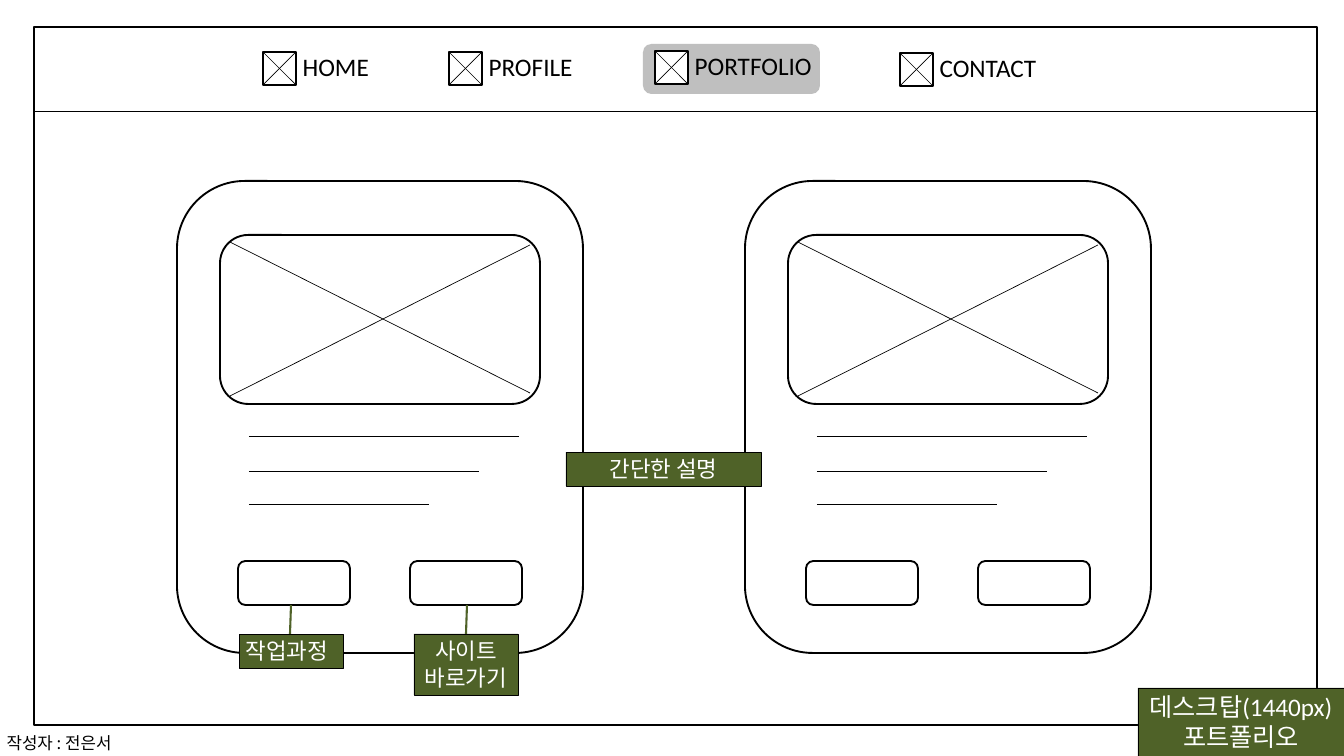
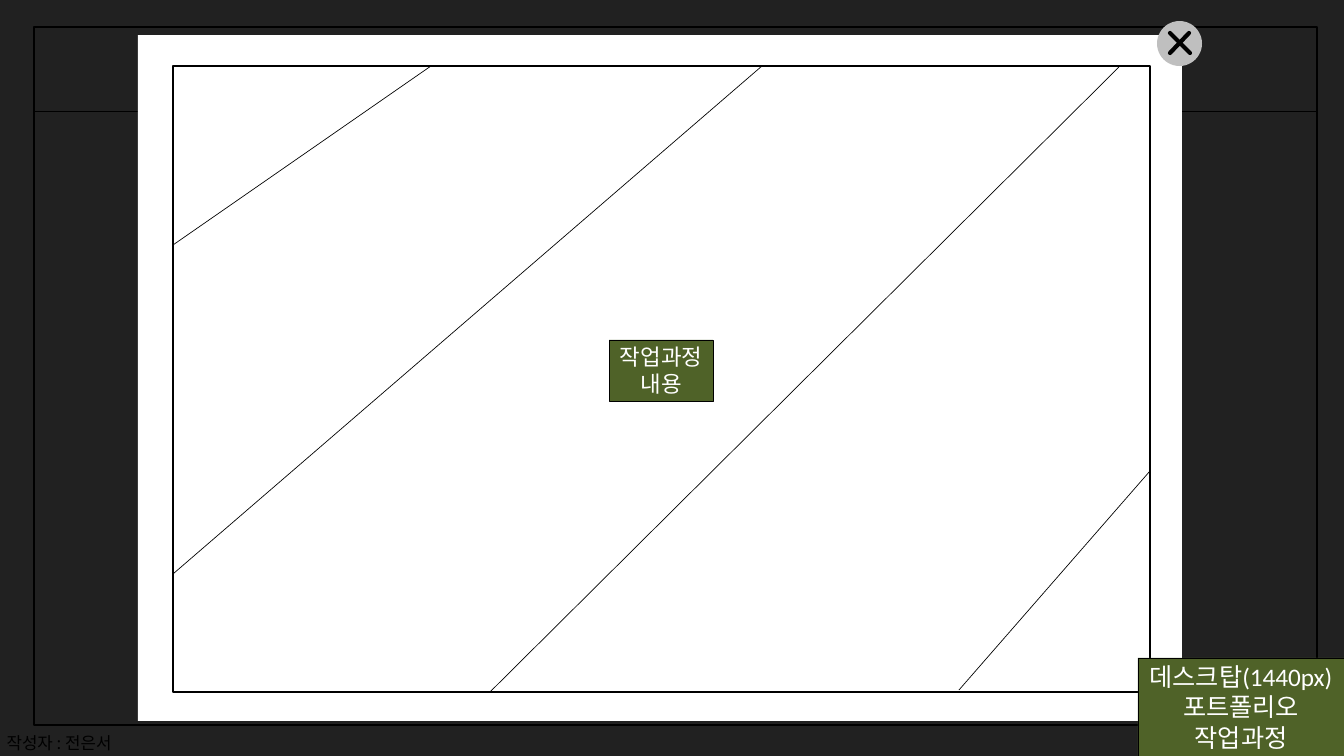
from lxml.etree import SubElement
from pptx import Presentation
from pptx.dml.color import RGBColor
from pptx.enum.shapes import MSO_CONNECTOR, MSO_SHAPE
from pptx.enum.text import MSO_ANCHOR, MSO_AUTO_SIZE, PP_ALIGN
from pptx.oxml.ns import qn
from pptx.util import Emu, Pt

BLACK = RGBColor(0, 0, 0)
WHITE = RGBColor(255, 255, 255)
GREEN = RGBColor(0x4F, 0x62, 0x28)
GRAY = RGBColor(0xBF, 0xBF, 0xBF)

LATIN = "Calibri"
KOREAN = "Noto Sans CJK KR"
WIDE, HIGH = 1344, 756
FRAME = (34, 27, 1283, 698)
THIN, BOLD = 0.75, 2
RECT, ROUND, OVAL = (
    MSO_SHAPE.RECTANGLE, MSO_SHAPE.ROUNDED_RECTANGLE, MSO_SHAPE.OVAL)


def px(n):
    return Emu(round(n * 914400 / 67.2))


# Basic parts

def draw_box(parts, kind, box, fill=None, line=None):
    shape = parts.add_shape(kind, *map(px, box))
    shape.shadow.inherit = False
    if fill is None:
        shape.fill.background()
    else:
        shape.fill.solid()
        shape.fill.fore_color.rgb = fill
    if line is None:
        shape.line.fill.background()
    else:
        shape.line.color.rgb = BLACK
        shape.line.width = Pt(line)
    return shape


def draw_line(parts, x1, y1, x2, y2, color=BLACK, width=THIN):
    line = parts.add_connector(
        MSO_CONNECTOR.STRAIGHT, *map(px, (x1, y1, x2, y2)))
    line.line.color.rgb = color
    line.line.width = Pt(width)
    SubElement(line._element.spPr, qn("a:effectLst"))
    return line


def set_text(shape, rows, size, color, font=LATIN, align=PP_ALIGN.LEFT,
             wrap=False):
    frame = shape.text_frame
    frame.word_wrap = wrap
    frame.auto_size = MSO_AUTO_SIZE.SHAPE_TO_FIT_TEXT
    frame.vertical_anchor = MSO_ANCHOR.TOP
    frame.text = "\n".join(rows)
    for para in frame.paragraphs:
        para.alignment = align
        para.font.size = Pt(size)
        para.font.name = font
        para.font.color.rgb = color


def add_text(parts, box, text, size, font=LATIN):
    set_text(parts.add_textbox(*map(px, box)), [text], size, BLACK, font)


def add_tag(parts, x, y, rows, width=104, align=PP_ALIGN.CENTER, wrap=False):
    box = (x, y, width, 7 + 27 * len(rows))
    tag = draw_box(parts, RECT, box, GREEN, THIN)
    set_text(tag, rows, 24, WHITE, align=align, wrap=wrap)


# Parts on both slides

def add_page(parts):
    x, y, w, h = FRAME
    draw_box(parts, RECT, FRAME, line=BOLD)
    draw_line(parts, x, y + 84, x + w, y + 84)
    add_text(parts, (0, 729, 128, 27), "작성자 : 전은서", 18, KOREAN)


def add_badge(parts, rows):
    w, h = 206, 8 + 30 * len(rows)
    badge = draw_box(parts, RECT, (WIDE - w, HIGH - h, w, h), GREEN, THIN)
    set_text(badge, rows, 27, WHITE, align=PP_ALIGN.CENTER)


# Portfolio page

def add_link(parts, x, y, name, width, active=False):
    link = parts.add_group_shape().shapes
    side = 33
    if active:
        draw_box(link, ROUND, (x - 12, y - 7, 177, 50), GRAY)
    draw_box(link, RECT, (x, y, side, side), WHITE, BOLD)
    draw_line(link, x, y + side, x + side, y)
    draw_line(link, x + side, y + side, x, y)
    add_text(link, (x + 33, y - 4, width, 38), name, 27)


def add_card(parts, x, y):
    card = parts.add_group_shape().shapes
    draw_box(card, ROUND, (x, y, 406, 472), WHITE, BOLD)
    # Image area with its cross
    draw_box(card, ROUND, (x + 43, y + 54, 320, 169), WHITE, BOLD)
    draw_line(card, x + 53, y + 215, x + 353, y + 64)
    draw_line(card, x + 53, y + 61, x + 353, y + 212)
    # Lines of text
    for down, length in ((255, 270), (290, 230), (323, 180)):
        draw_line(card, x + 72, y + down, x + 72 + length, y + down)
    # Buttons
    for col in range(2):
        draw_box(card, ROUND, (x + 61 + 172 * col, y + 380, 112, 44),
                 WHITE, BOLD)


def add_notes(parts):
    add_tag(parts, 239, 634, ["작업과정"], align=PP_ALIGN.LEFT)
    add_tag(parts, 566, 452, ["간단한 설명"], width=195, wrap=True)
    add_tag(parts, 414, 634, ["사이트", "바로가기"])
    for x in (290, 466):
        draw_line(parts, x, 634, x + 1, 605, GREEN, 2.25)


def build_list(parts):
    add_page(parts)
    add_badge(parts, ["데스크탑(1440px)", "포트폴리오"])
    add_link(parts, 263, 52, "HOME", 81)
    add_link(parts, 449, 52, "PROFILE", 98)
    add_link(parts, 655, 51, "PORTFOLIO", 132, active=True)
    add_link(parts, 900, 53, "CONTACT", 111)
    for x in (177, 745):
        add_card(parts, x, 181)
    add_notes(parts)


# Pop-up page

def add_close(parts, x, y):
    close = parts.add_group_shape().shapes
    draw_box(close, OVAL, (x, y, 45, 45), GRAY)
    for x1, x2 in ((13, 32), (33, 13)):
        stroke = draw_line(close, x + x1, y + 32, x + x2, y + 12, width=4.5)
        stroke.line._get_or_add_ln().set("cap", "rnd")


def add_sheet(parts, x, y, w, h):
    draw_box(parts, RECT, (x, y, w, h), line=BOLD)
    stripes = ((258, 0, 0, 179), (589, 0, 0, 508),
               (946, 1, 317, h), (w, 405, 786, h - 2))
    for x1, y1, x2, y2 in stripes:
        draw_line(parts, x + x1, y + y1, x + x2, y + y2)


def build_popup(parts):
    add_page(parts)
    # Dark veil over the page
    veil = draw_box(parts, RECT, (0, 0, WIDE, HIGH), BLACK)
    tint = veil.fill._xPr.find(qn("a:solidFill"))[0]
    SubElement(tint, qn("a:alpha")).set("val", "87000")
    # Window
    draw_box(parts, RECT, (138, 35, 1044, 686), WHITE)
    add_close(parts, 1157, 21)
    add_sheet(parts, 173, 66, 977, 626)
    add_badge(parts, ["데스크탑(1440px)", "포트폴리오", "작업과정"])
    add_tag(parts, 609, 340, ["작업과정", "내용"])


def main():
    deck = Presentation()
    deck.slide_width, deck.slide_height = px(WIDE), px(HIGH)
    for build in (build_list, build_popup):
        build(deck.slides.add_slide(deck.slide_layouts[6]).shapes)
    deck.save("out.pptx")


if __name__ == "__main__":
    main()
